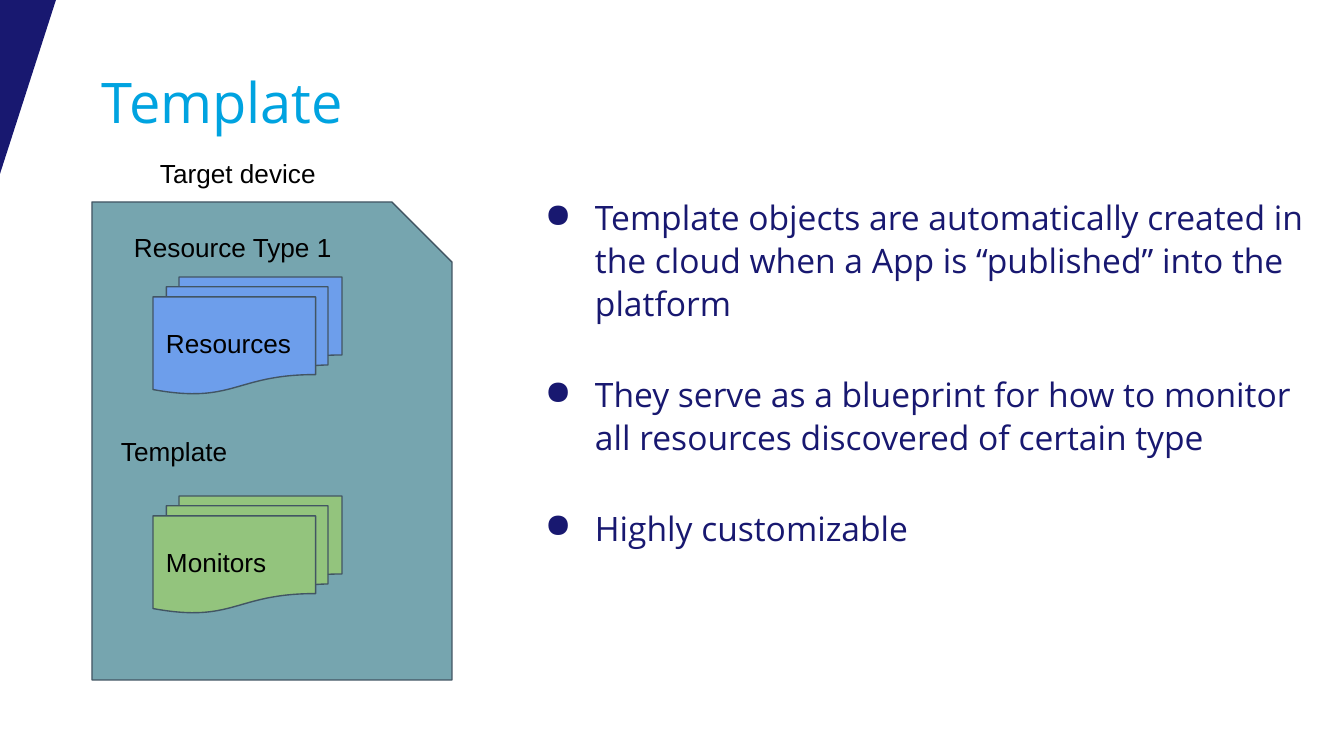
import pptx
import pptx.util
from pptx.dml.color import RGBColor
from pptx.enum.shapes import MSO_SHAPE
from pptx.enum.text import MSO_ANCHOR, PP_ALIGN
from pptx.oxml import parse_xml
from pptx.oxml.ns import nsdecls

PX = 9144000 / 1344
NAVY = RGBColor(0x18, 0x18, 0x70)
CYAN = RGBColor(0x00, 0xA3, 0xE0)
TEAL = RGBColor(0x76, 0xA5, 0xAF)
BLUE = RGBColor(0x6D, 0x9E, 0xEB)
GREEN = RGBColor(0x93, 0xC4, 0x7D)
SLATE = RGBColor(0x42, 0x55, 0x63)
BLACK = RGBColor(0x00, 0x00, 0x00)


def add_box(s, box, kind=None, fill=None, line=None):
    """Add a preset shape, or a text box when no kind is given."""
    place = [round(v * PX) for v in box]
    if kind is None:
        return s.shapes.add_textbox(*place)
    sp = s.shapes.add_shape(kind, *place)
    sp.shadow.inherit = False
    sp.fill.solid()
    sp.fill.fore_color.rgb = fill
    if line is None:
        sp.line.fill.background()
    else:
        sp.line.color.rgb = line
        sp.line.width = pptx.util.Pt(0.75)
    return sp


def write(sp, lines, font, size, color, anchor, inset):
    tf = sp.text_frame
    tf.word_wrap = True
    tf.vertical_anchor = anchor
    tf.margin_left = tf.margin_right = round(inset[0] * PX)
    tf.margin_top = tf.margin_bottom = round(inset[1] * PX)
    tf.text = "\n".join(lines)
    for p in tf.paragraphs:
        p.alignment = PP_ALIGN.LEFT
        for r in p.runs:
            r.font.name = font
            r.font.size = pptx.util.Pt(size)
            r.font.color.rgb = color
    return tf


prs = pptx.Presentation()
prs.slide_width = round(1344 * PX)
prs.slide_height = round(756 * PX)
s = prs.slides.add_slide(prs.slide_layouts[6])

corner = add_box(s, (0, 0, 56, 174), MSO_SHAPE.RIGHT_TRIANGLE, NAVY)
corner.rotation = 180
corner._element.spPr.xfrm.set("flipH", "1")

title = add_box(s, (93, 0, 1159, 141))
tf = write(title, ["Template"], "Open Sans", 30, CYAN, MSO_ANCHOR.BOTTOM, (9, 5))
tf.paragraphs[0].line_spacing = 0.9

device = add_box(s, (92, 202, 360, 478), MSO_SHAPE.SNIP_1_RECTANGLE, TEAL, SLATE)
device.adjustments[0] = 0.167

for text, top, fill in (("Resources", 277, BLUE), ("Monitors", 496, GREEN)):
    stack = add_box(s, (153, top, 189, 117), MSO_SHAPE.FLOWCHART_MULTIDOCUMENT, fill, SLATE)
    write(stack, [text], "Arial", 14, BLACK, MSO_ANCHOR.MIDDLE, (13, 13))

for text, left, top, width in (
    ("Target device", 147, 144, 203),
    ("Resource Type 1", 121, 218, 242),
    ("Template", 108, 422, 203),
):
    label = add_box(s, (left, top, width, 59))
    write(label, [text], "Arial", 14, BLACK, MSO_ANCHOR.TOP, (13, 13))

points = [
    "Template objects are automatically created in the cloud when a App is “published” into the platform",
    "They serve as a blueprint for how to monitor all resources discovered of certain type",
    "Highly customizable",
]
body = add_box(s, (519, 190, 802, 427))
tf = write(body, points, "Open Sans", 18, NAVY, MSO_ANCHOR.TOP, (9, 5))
for i, p in enumerate(tf.paragraphs):
    pPr = p._p.get_or_add_pPr()
    pPr.set("marL", str(round(67 * PX)))
    pPr.set("indent", str(round(-50 * PX)))
    pPr.append(parse_xml(f'<a:buClr {nsdecls("a")}><a:srgbClr val="{NAVY}"/></a:buClr>'))
    pPr.append(parse_xml(f'<a:buChar {nsdecls("a")} char="●"/>'))
    p.line_spacing = 1.06
    if i:
        p.space_before = pptx.util.Pt(26)

prs.save("out.pptx")
